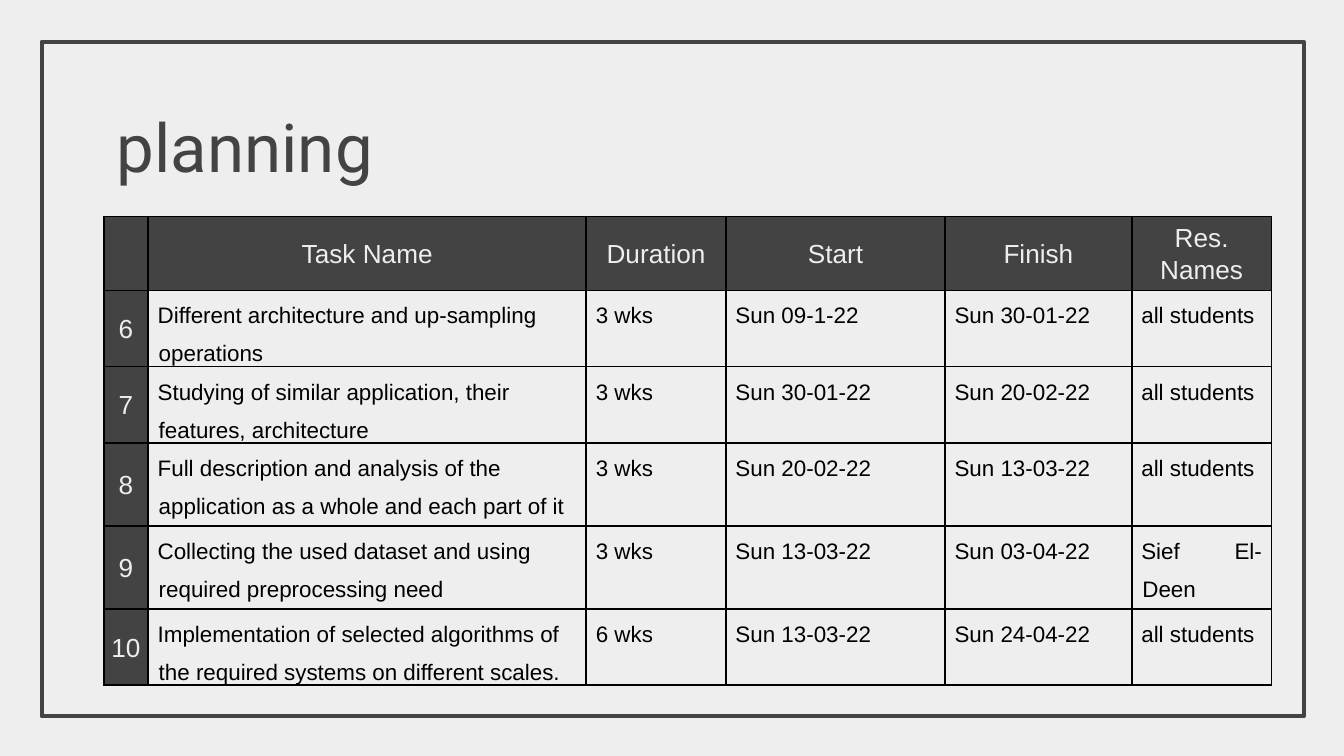
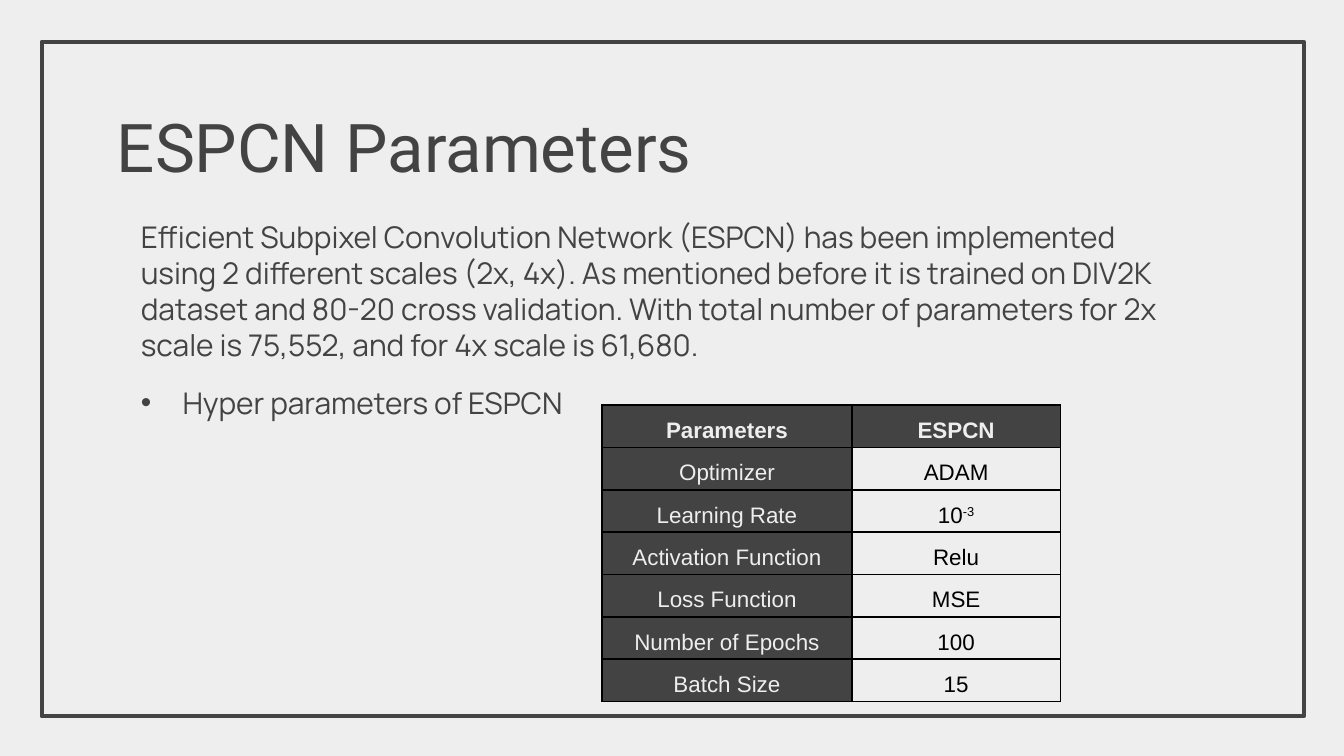
"""Build the planning and ESPCN parameters slides."""
from dataclasses import dataclass

from lxml.etree import SubElement
from pptx import Presentation
from pptx.dml.color import RGBColor
from pptx.enum.shapes import MSO_SHAPE
from pptx.enum.text import MSO_ANCHOR, MSO_AUTO_SIZE, PP_ALIGN
from pptx.oxml.ns import qn
from pptx.util import Cm, Pt

DARK = RGBColor(0x43, 0x43, 0x43)
LIGHT = RGBColor(0xEE, 0xEE, 0xEE)
BLACK = RGBColor(0x00, 0x00, 0x00)
TITLE_FONT, BODY_FONT, TABLE_FONT = "Roboto", "Manrope", "Arial"
TITLE_ONLY, TITLE_AND_BODY = 5, 1


@dataclass(frozen=True)
class CellStyle:
    size: int = 12
    color: RGBColor = BLACK
    fill: RGBColor | None = None
    bold: bool = False
    align: PP_ALIGN = PP_ALIGN.CENTER
    anchor: MSO_ANCHOR = MSO_ANCHOR.TOP
    margins: tuple = (0.18, 0)
    spacing: float = 1.52
    after: int = 0
    hanging: float = 0


PLAN_HEAD = CellStyle(14, LIGHT, DARK, anchor=MSO_ANCHOR.MIDDLE,
                      margins=(0.02, 0.02), spacing=1.07)
PLAN_TASK = CellStyle(align=PP_ALIGN.LEFT, after=6, hanging=0.02)
PLAN_DETAIL = CellStyle(align=PP_ALIGN.JUSTIFY, after=6, hanging=0.02)
SETTING_HEAD = CellStyle(color=LIGHT, fill=DARK, bold=True)
SETTING_NAME = CellStyle(color=LIGHT, fill=DARK, after=4)
SETTING_VALUE = CellStyle(after=4)

PLAN = [
    ("", "Task Name", "Duration", "Start", "Finish", "Res.\nNames"),
    ("6", "Different architecture and up-sampling operations",
     "3 wks", "Sun 09-1-22", "Sun 30-01-22", "all students"),
    ("7", "Studying of similar application, their features, architecture",
     "3 wks", "Sun 30-01-22", "Sun 20-02-22", "all students"),
    ("8", "Full description and analysis of the application as a whole and each part of it",
     "3 wks", "Sun 20-02-22", "Sun 13-03-22", "all students"),
    ("9", "Collecting the used dataset and using required preprocessing need",
     "3 wks", "Sun 13-03-22", "Sun 03-04-22", "Sief El-Deen"),
    ("10", "Implementation of selected algorithms of the required systems on different scales.",
     "6 wks", "Sun 13-03-22", "Sun 24-04-22", "all students"),
]
SETTINGS = [
    ("Parameters", "ESPCN"),
    ("Optimizer", "ADAM"),
    ("Learning Rate", "10^-3"),
    ("Activation Function", "Relu"),
    ("Loss Function", "MSE"),
    ("Number of Epochs", "100"),
    ("Batch Size", "15"),
]
SUMMARY = (
    "Efficient Subpixel Convolution Network (ESPCN) has been implemented using 2 different "
    "scales (2x, 4x). As mentioned before it is trained on DIV2K dataset and 80-20 cross "
    "validation. With total number of parameters for 2x scale is 75,552, and for 4x scale "
    "is 61,680."
)


def plan_style(row, column):
    if row == 0 or column == 0:
        return PLAN_HEAD
    return PLAN_TASK if column == 1 else PLAN_DETAIL


def setting_style(row, column):
    if row == 0:
        return SETTING_HEAD
    return SETTING_NAME if column == 0 else SETTING_VALUE


class DeckBuilder:
    def __init__(self):
        self.deck = Presentation()
        self.deck.slide_width, self.deck.slide_height = Cm(25.4), Cm(14.29)
        background = self.deck.slide_master.background.fill
        background.solid()
        background.fore_color.rgb = LIGHT
        self.page = None

    def add_page(self, layout, title):
        self.page = self.deck.slides.add_slide(self.deck.slide_layouts[layout])
        self.frame()
        self.title(title)

    def frame(self):
        frame = self.page.shapes.add_shape(
            MSO_SHAPE.RECTANGLE, Cm(0.79), Cm(0.79), Cm(23.85), Cm(12.75))
        frame.shadow.inherit = False
        frame.fill.background()
        frame.line.color.rgb = DARK
        frame.line.width = Pt(2.25)
        self.page.shapes.element.insert(2, frame.element)

    def place(self, box, left, top, width, height, anchor):
        box.left, box.top, box.width, box.height = Cm(left), Cm(top), Cm(width), Cm(height)
        text = box.text_frame
        text.word_wrap = True
        text.auto_size = MSO_AUTO_SIZE.NONE
        text.vertical_anchor = anchor
        text.margin_left = text.margin_right = Cm(0.25)
        text.margin_top = text.margin_bottom = Cm(0.25)
        return text

    def span(self, para, words, font, size, color, bold=False, raised=False):
        span = para.add_run()
        span.text = words
        span.font.name, span.font.size, span.font.bold = font, Pt(size), bold
        span.font.color.rgb = color
        if raised:
            span.font._element.set("baseline", "30000")

    def title(self, words):
        text = self.place(self.page.shapes.title, 1.96, 1.7, 20.09, 2.06, MSO_ANCHOR.BOTTOM)
        para = text.paragraphs[0]
        para.alignment = PP_ALIGN.LEFT
        self.span(para, words, TITLE_FONT, 36, DARK)

    def indent(self, para, left, first):
        properties = para._p.get_or_add_pPr()
        properties.set("marL", str(Cm(left)))
        properties.set("indent", str(Cm(first)))
        return properties

    def body(self, items):
        text = self.place(self.page.placeholders[1], 1.98, 3.89, 20.65, 8.41, MSO_ANCHOR.TOP)
        for index, (words, bulleted) in enumerate(items):
            para = text.add_paragraph() if index else text.paragraphs[0]
            if bulleted:
                properties = self.indent(para, 1.22, -0.79)
                color = SubElement(properties, qn("a:buClr"))
                SubElement(color, qn("a:srgbClr"), val=str(DARK))
                SubElement(properties, qn("a:buFont"), typeface="Arial")
                SubElement(properties, qn("a:buChar"), char="•")
            else:
                SubElement(self.indent(para, 0.43, 0), qn("a:buNone"))
            para.alignment = PP_ALIGN.LEFT
            para.line_spacing = 1.0
            para.space_before = Pt(12 if index else 0)
            self.span(para, words, BODY_FONT, 16, DARK)

    def table(self, left, top, widths, heights, rows, style_for):
        table = self.page.shapes.add_table(
            len(rows), len(widths), Cm(left), Cm(top), Cm(sum(widths)), Cm(sum(heights))).table
        table.first_row = table.horz_banding = False
        for column, width in zip(table.columns, widths):
            column.width = Cm(width)
        for row, height in zip(table.rows, heights):
            row.height = Cm(height)
        for row, values in enumerate(rows):
            for column, words in enumerate(values):
                self.cell(table.cell(row, column), words, style_for(row, column))

    def cell(self, cell, words, style):
        cell.margin_left = cell.margin_right = Cm(style.margins[0])
        cell.margin_top = cell.margin_bottom = Cm(style.margins[1])
        cell.vertical_anchor = style.anchor
        self.borders(cell)
        if style.fill is None:
            cell.fill.background()
        else:
            cell.fill.solid()
            cell.fill.fore_color.rgb = style.fill
        for index, line in enumerate(words.split("\n")):
            para = cell.text_frame.add_paragraph() if index else cell.text_frame.paragraphs[0]
            para.alignment = style.align
            para.line_spacing = style.spacing
            para.space_after = Pt(style.after)
            self.indent(para, style.hanging, -style.hanging)
            for level, part in enumerate(line.split("^")):
                if part:
                    self.span(para, part, TABLE_FONT, style.size, style.color,
                              style.bold, raised=level > 0)

    def borders(self, cell):
        properties = cell._tc.get_or_add_tcPr()
        for side in "LRTB":
            line = SubElement(properties, qn(f"a:ln{side}"), w=str(Pt(1)))
            fill = SubElement(line, qn("a:solidFill"))
            SubElement(fill, qn("a:srgbClr"), val=str(BLACK))


def main():
    builder = DeckBuilder()

    builder.add_page(TITLE_ONLY, "planning")
    builder.table(1.96, 4.09, [0.84, 8.28, 2.64, 4.14, 3.53, 2.64],
                  [1.4, 1.22, 1.22, 1.57, 1.57, 1.22], PLAN, plan_style)

    builder.add_page(TITLE_AND_BODY, "ESPCN Parameters")
    builder.body([(SUMMARY, False), ("Hyper parameters of ESPCN", True)])
    builder.table(11.38, 7.66, [4.72, 3.94], [0.8] * len(SETTINGS), SETTINGS, setting_style)

    builder.deck.save("out.pptx")


if __name__ == "__main__":
    main()
